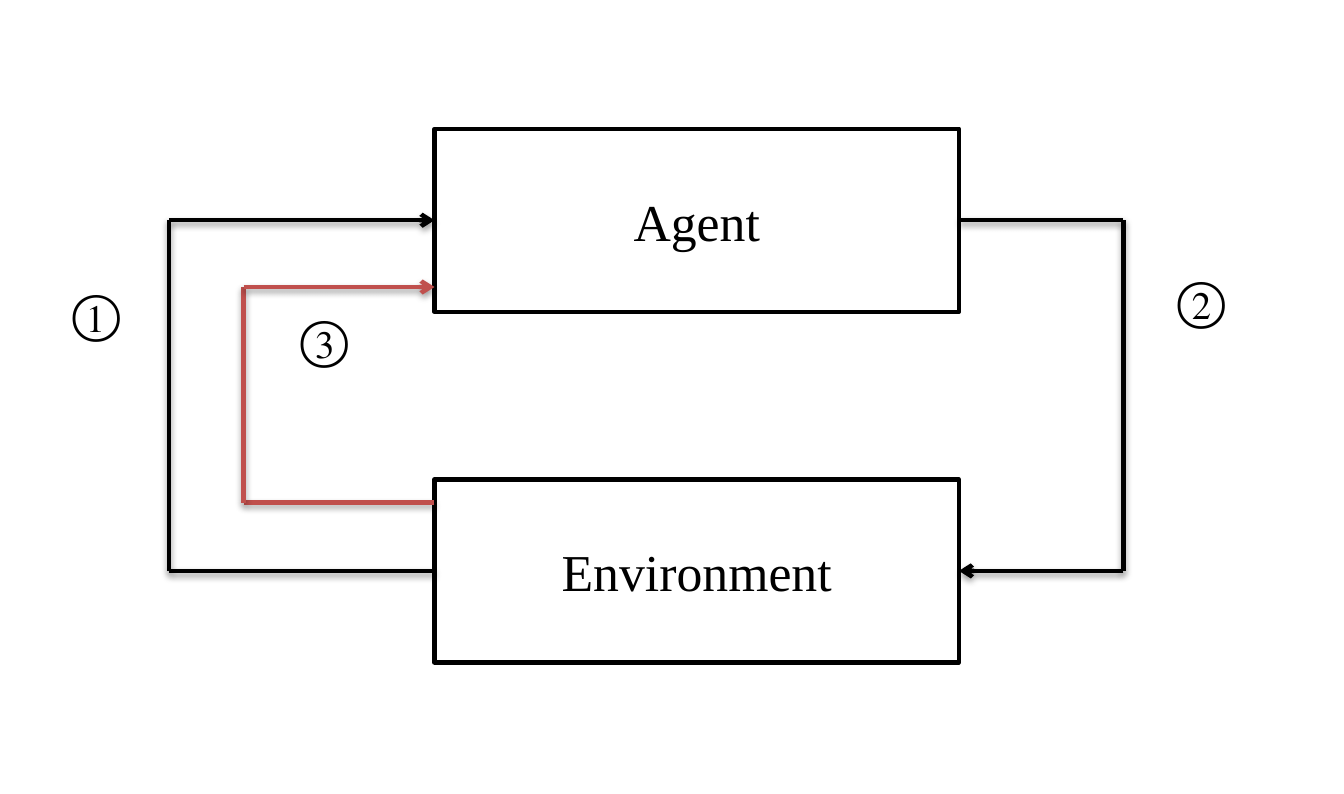
from dataclasses import dataclass
from itertools import pairwise

from lxml.etree import SubElement
from pptx import Presentation
from pptx.dml.color import RGBColor
from pptx.enum.shapes import MSO_CONNECTOR, MSO_SHAPE
from pptx.enum.text import MSO_ANCHOR, PP_ALIGN
from pptx.oxml.ns import qn
from pptx.util import Inches, Pt


@dataclass(frozen=True)
class Theme:
    black: RGBColor = RGBColor(0x00, 0x00, 0x00)
    red: RGBColor = RGBColor(0xC0, 0x50, 0x4D)
    font: str = "Times New Roman"
    text_size: Pt = Pt(24)
    line_width: Pt = Pt(2)


THEME = Theme()
CM_PER_INCH = 2.54
BOX_LEFT, BOX_RIGHT = 2.8, 6.18
BOX_HEIGHT = 1.18
AGENT_MIDDLE, ENVIRONMENT_MIDDLE = 1.42, 3.68
LEFT_SIDE, RIGHT_SIDE = 1, 3


def write_text(frame, text, alignment):
    para = frame.paragraphs[0]
    para.text = text
    para.alignment = alignment
    para.font.name = THEME.font
    para.font.size = THEME.text_size
    para.font.color.rgb = THEME.black


def add_box(slide, text, middle):
    box = slide.shapes.add_shape(
        MSO_SHAPE.RECTANGLE, Inches(BOX_LEFT), Inches(middle - BOX_HEIGHT / 2),
        Inches(BOX_RIGHT - BOX_LEFT), Inches(BOX_HEIGHT))
    box.shadow.inherit = False
    box.fill.background()
    box.line.color.rgb = THEME.black
    box.line.width = THEME.line_width
    box.text_frame.vertical_anchor = MSO_ANCHOR.MIDDLE
    write_text(box.text_frame, text, PP_ALIGN.CENTER)
    return box


def add_number(slide, text, left, top):
    label = slide.shapes.add_textbox(
        Inches(left), Inches(top), Inches(0.54), Inches(0.5))
    write_text(label.text_frame, text, PP_ALIGN.LEFT)


def add_shadow(line):
    effects = SubElement(line._element.spPr, qn("a:effectLst"))
    shadow = SubElement(effects, qn("a:outerShdw"), blurRad=str(Pt(3.1)),
                        dist=str(Pt(1.6)), dir="5400000", rotWithShape="0")
    color = SubElement(shadow, qn("a:srgbClr"), val=str(THEME.black))
    SubElement(color, qn("a:alpha"), val="38000")


def add_loop(slide, start, end, side, color):
    """Draw three segments from start out to x = side and back to end; return them."""
    points = [start, (side, start[1]), (side, end[1]), end]
    segments = []
    for begin, finish in pairwise(points):
        line = slide.shapes.add_connector(
            MSO_CONNECTOR.STRAIGHT, *map(Inches, begin + finish))
        line.line.color.rgb = color
        line.line.width = THEME.line_width
        add_shadow(line)
        segments.append(line)
    SubElement(segments[-1].line._get_or_add_ln(), qn("a:tailEnd"), type="arrow")
    return segments


def join_loop(segments, source, target, site):
    segments[0].begin_connect(source, site)
    segments[-1].end_connect(target, site)


def main():
    deck = Presentation()
    deck.slide_width = Inches(22 / CM_PER_INCH)
    deck.slide_height = Inches(13 / CM_PER_INCH)
    slide = deck.slides.add_slide(deck.slide_layouts[6])

    agent = add_box(slide, "Agent", AGENT_MIDDLE)
    environment = add_box(slide, "Environment", ENVIRONMENT_MIDDLE)

    outer_loop = add_loop(slide, (BOX_LEFT, ENVIRONMENT_MIDDLE),
                          (BOX_LEFT, AGENT_MIDDLE), 1.09, THEME.black)
    join_loop(outer_loop, environment, agent, LEFT_SIDE)
    right_loop = add_loop(slide, (BOX_RIGHT, AGENT_MIDDLE),
                          (BOX_RIGHT, ENVIRONMENT_MIDDLE), 7.24, THEME.black)
    join_loop(right_loop, agent, environment, RIGHT_SIDE)
    add_loop(slide, (BOX_LEFT, 3.24), (BOX_LEFT, 1.85), 1.57, THEME.red)

    for text, left, top in [("①", 0.37, 1.76), ("②", 7.49, 1.68), ("③", 1.84, 1.93)]:
        add_number(slide, text, left, top)

    deck.save("out.pptx")


if __name__ == "__main__":
    main()
